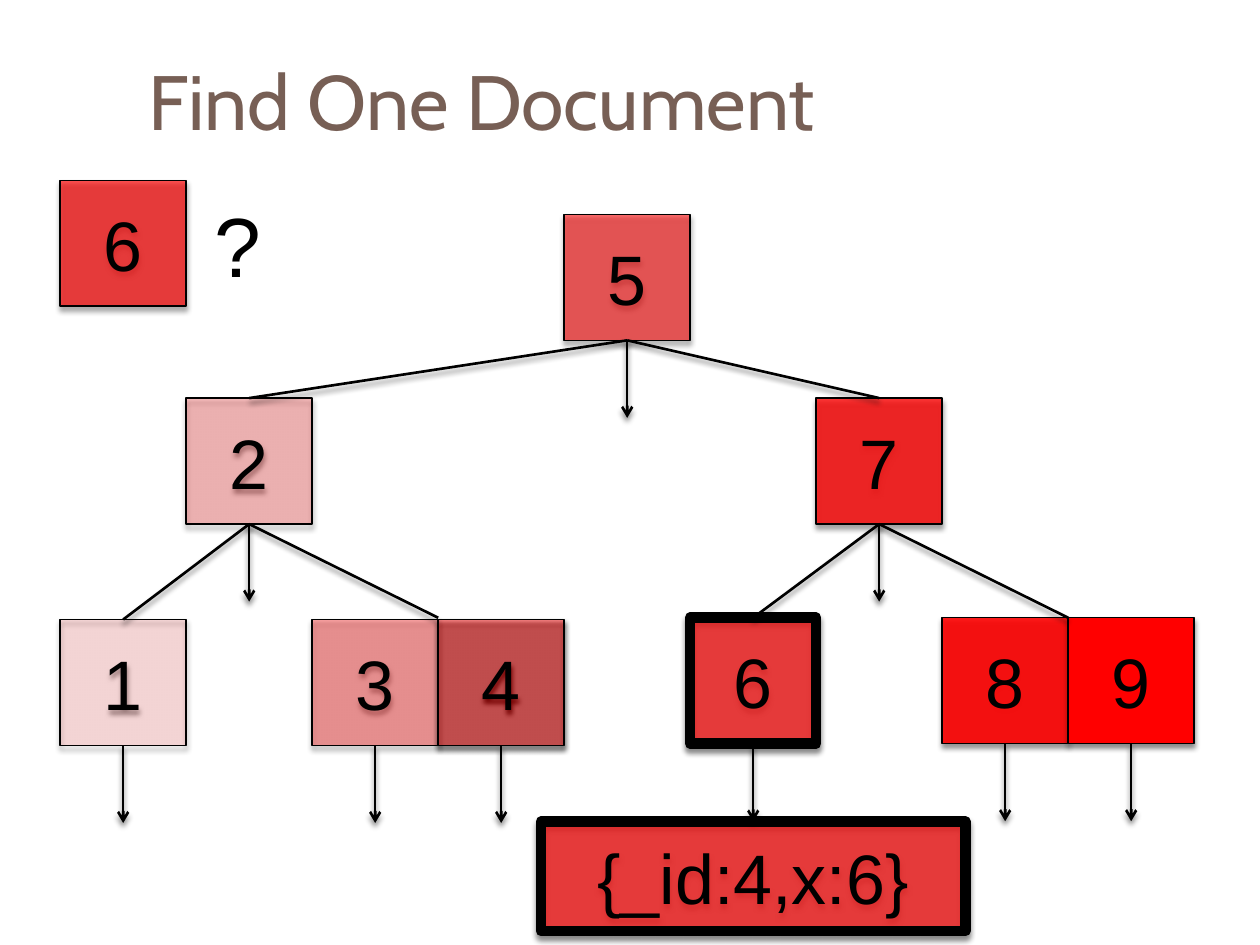
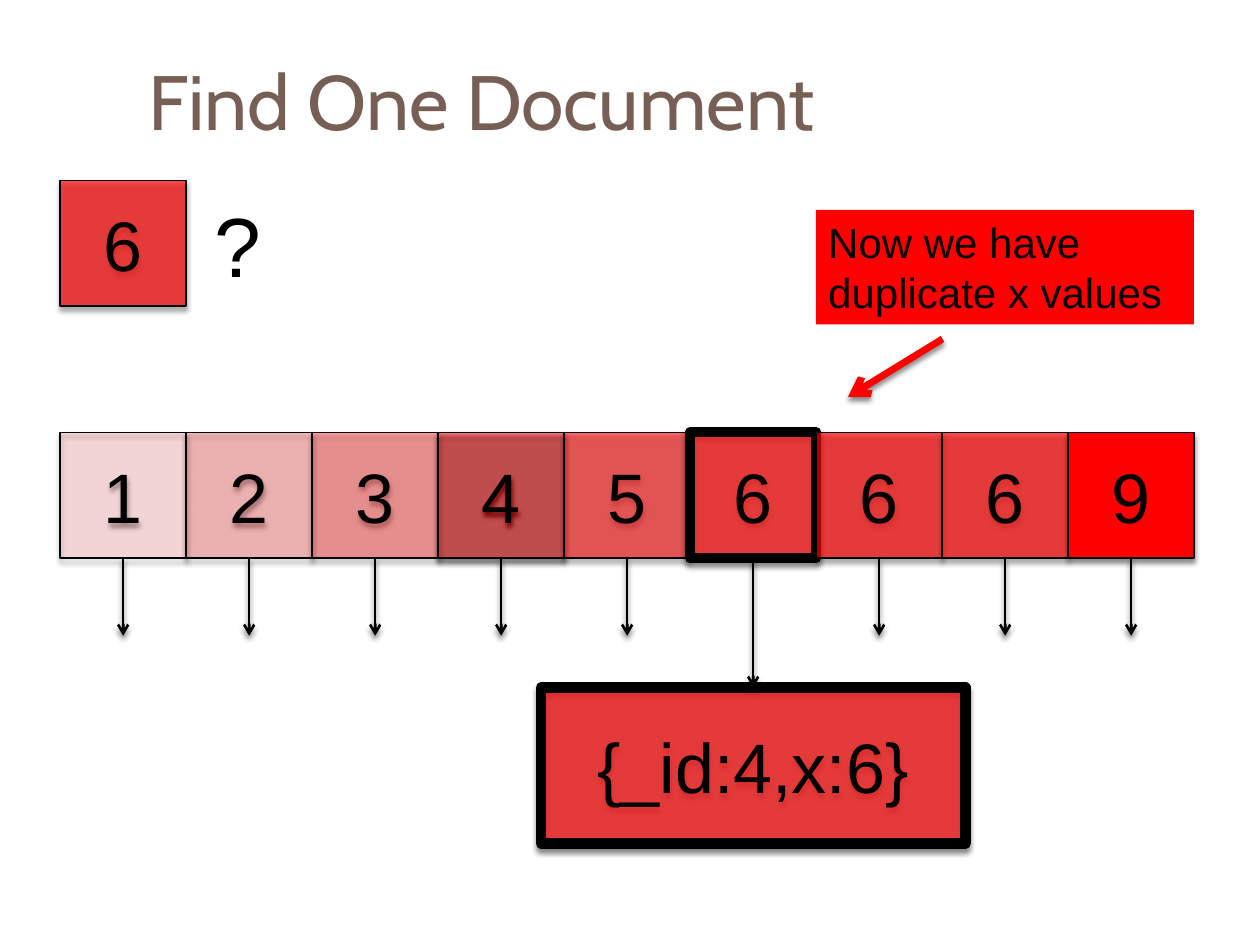
from pptx import Presentation
from pptx.dml.color import RGBColor
from pptx.enum.shapes import MSO_CONNECTOR, MSO_SHAPE
from pptx.enum.text import MSO_ANCHOR, PP_ALIGN
from pptx.oxml.ns import qn
from pptx.util import Pt
from lxml.etree import SubElement

# Shared style
BLACK = RGBColor(0x00, 0x00, 0x00)
RED = RGBColor(0xFF, 0x00, 0x00)
BROWN = RGBColor(0x77, 0x5F, 0x55)
TITLE_FONT, BODY_FONT = "Cabin", "Arial"

# Shared grid, in points
BOX = 72
LEFT = 34.4
ARROW = 44.3
THIN, THICK = 0.79, 6
RESULT_WIDTH = 242.6
TOP_SIDE, BOTTOM_SIDE = 0, 2


def column_left(column):
    return LEFT + column * BOX


class Deck:
    """Holds the style and the slide being drawn."""

    def __init__(self):
        self.presentation = Presentation()
        self.presentation.slide_width = Pt(720)
        self.presentation.slide_height = Pt(540)
        self.slide = None

    def new_slide(self, title):
        self.slide = self.presentation.slides.add_slide(
            self.presentation.slide_layouts[6])
        self.text(title, 77.8, 18, 642, 77.8, 44, TITLE_FONT, BROWN,
                  anchor=MSO_ANCHOR.MIDDLE)

    def set_text(self, shape, text, size, font=BODY_FONT, color=BLACK,
                 align=PP_ALIGN.LEFT, anchor=MSO_ANCHOR.TOP, wrap=True):
        frame = shape.text_frame
        frame.text = text
        frame.word_wrap = wrap
        frame.vertical_anchor = anchor
        paragraph = frame.paragraphs[0]
        paragraph.alignment = align
        run_font = paragraph.runs[0].font
        run_font.size, run_font.name = Pt(size), font
        run_font.color.rgb = color

    def text(self, text, left, top, width, height, size, font=BODY_FONT,
             color=BLACK, **layout):
        shape = self.slide.shapes.add_textbox(
            Pt(left), Pt(top), Pt(width), Pt(height))
        self.set_text(shape, text, size, font, color, **layout)

    def cast_shadow(self, properties):
        effects = properties.find(qn("a:effectLst"))
        if effects is None:
            effects = SubElement(properties, qn("a:effectLst"))
        shadow = SubElement(effects, qn("a:outerShdw"), blurRad=str(Pt(3)),
                            dist=str(Pt(2.4)), dir="5400000",
                            algn="ctr", rotWithShape="0")
        color = SubElement(shadow, qn("a:srgbClr"), val=str(BLACK))
        SubElement(color, qn("a:alpha"), val="45000")

    def rectangle(self, left, top, width, height):
        shape = self.slide.shapes.add_shape(
            MSO_SHAPE.RECTANGLE, Pt(left), Pt(top), Pt(width), Pt(height))
        shape.shadow.inherit = False
        shape.fill.solid()
        shape.fill.fore_color.rgb = RED
        return shape

    def box(self, text, left, top, value, width=BOX, height=BOX, border=THIN):
        """A bordered box whose red deepens with the value from 1 to 9."""
        shape = self.rectangle(left, top, width, height)
        fill_color = shape._element.spPr.find(qn("a:solidFill"))[0]
        SubElement(fill_color, qn("a:alpha"), val=str((1 + 11 * value) * 1000))
        shape.line.color.rgb = BLACK
        shape.line.width = Pt(border)
        self.cast_shadow(shape._element.spPr)
        self.set_text(shape, text, 40, align=PP_ALIGN.CENTER,
                      anchor=MSO_ANCHOR.MIDDLE)
        return shape

    def key(self, value, column, top, border=THIN):
        return self.box(str(value), column_left(column), top, value,
                        border=border)

    def line(self, start, end, color=BLACK, width=1.5, arrow=False):
        connector = self.slide.shapes.add_connector(
            MSO_CONNECTOR.STRAIGHT, *(Pt(length) for length in (*start, *end)))
        connector.line.color.rgb = color
        connector.line.width = Pt(width)
        properties = connector._element.spPr
        if arrow:
            SubElement(properties.find(qn("a:ln")), qn("a:tailEnd"),
                       type="arrow")
        self.cast_shadow(properties)
        return connector

    def pointer(self, box):
        """An arrow straight down from the middle of a box."""
        center, bottom = box.left.pt + BOX / 2, box.top.pt + BOX
        connector = self.line((center, bottom), (center, bottom + ARROW),
                              arrow=True)
        connector.begin_connect(box, BOTTOM_SIDE)
        return connector

    def branch(self, parent, end, child=None):
        """A line from a parent box to a point, or to the top of a child."""
        start = (parent.left.pt + BOX / 2, parent.top.pt + BOX)
        connector = self.line(start, end)
        connector.begin_connect(parent, BOTTOM_SIDE)
        if child is not None:
            connector.end_connect(child, TOP_SIDE)

    def query(self):
        self.key(6, 0, 103)
        self.text("?", 115.2, 107.3, 41.8, 65.5, 48, wrap=False)

    def result(self, found, pointer, top, height):
        center = found.left.pt + BOX / 2
        shape = self.box("{_id:4,x:6}", center - RESULT_WIDTH / 2, top, 6,
                         RESULT_WIDTH, height, THICK)
        pointer.end_connect(shape, TOP_SIDE)


def tree_slide(deck):
    deck.new_slide("Find One Document")
    # Keys: each stands in the column of its value
    tops = {1: 354, 2: 227.5, 3: 354, 4: 354, 5: 122.5,
            6: 353, 7: 227.5, 8: 353, 9: 353}
    keys = {value: deck.key(value, value - 1, top, THICK if value == 6 else THIN)
            for value, top in tops.items()}
    # Branches to single keys, then to the seam of paired keys
    for parent, child in ((2, 1), (5, 2), (5, 7), (7, 6)):
        box = keys[child]
        deck.branch(keys[parent], (box.left.pt + BOX / 2, box.top.pt), box)
    for parent, right_key in ((2, 4), (7, 9)):
        deck.branch(keys[parent], (column_left(right_key - 1), 353))
    deck.query()
    # Pointers to documents
    pointers = {value: deck.pointer(box) for value, box in keys.items()}
    deck.result(keys[6], pointers[6], 469.5, 62.5)


def duplicates_slide(deck):
    deck.new_slide("Find One Document")
    # Row of keys; the first 6 is the one found
    found = 5
    boxes = [deck.key(value, column, 247, THICK if column == found else THIN)
             for column, value in enumerate((1, 2, 3, 4, 5, 6, 6, 6, 9))]
    deck.query()
    pointers = [deck.pointer(box) for box in boxes]
    deck.result(boxes[found], pointers[found], 393, 89)
    # Callout
    callout = deck.rectangle(466.2, 120, 216, 65.4)
    callout.line.fill.background()
    deck.set_text(callout, "Now we have duplicate x values", 24)
    deck.line((538.6, 193.7), (484.6, 226.8), RED, 4, arrow=True)


def main():
    deck = Deck()
    tree_slide(deck)
    duplicates_slide(deck)
    deck.presentation.save("out.pptx")


if __name__ == "__main__":
    main()
